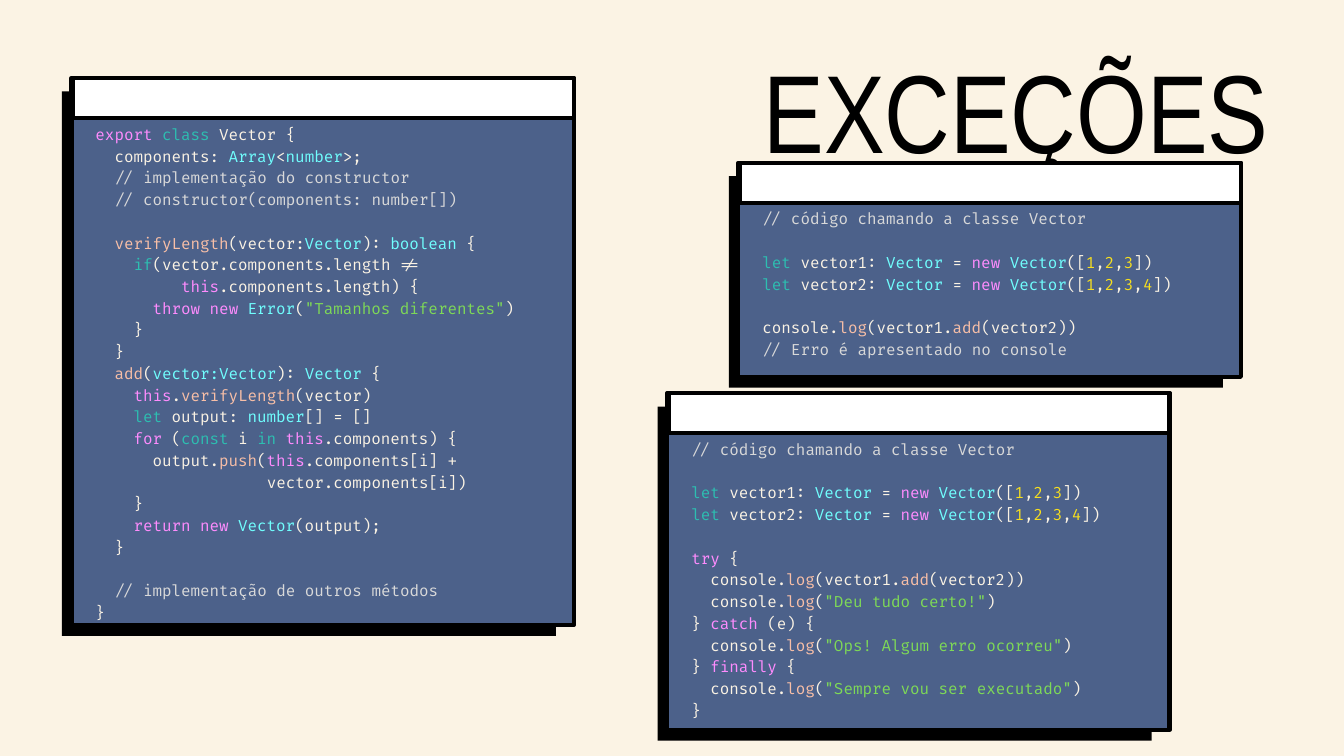
from dataclasses import dataclass
from functools import partial
from typing import NamedTuple

from pptx import Presentation
from pptx.dml.color import RGBColor
from pptx.enum.shapes import MSO_SHAPE
from pptx.enum.text import MSO_AUTO_SIZE, PP_ALIGN
from pptx.slide import Slide
from pptx.text.text import TextFrame
from pptx.util import Cm, Pt

COLORS = {
    "background": "FBF3E4",
    "black": "000000",
    "panel": "4C618A",
    "header": "FFFFFF",
    "plain": "FBF3E4",
    "keyword": "FE8CFE",
    "declaration": "2DBEB1",
    "type": "70FEFE",
    "function": "F8BFA7",
    "string": "7ED957",
    "number": "F7DF1E",
    "comment": "D9D9D9",
}
LINE_SPACING = 23.3
LINE_HEIGHT = 0.82


class Span(NamedTuple):
    role: str
    text: str


@dataclass
class CodePanel:
    left: float
    top: float
    height: float
    lines: list[list[Span]]


plain = partial(Span, "plain")
keyword = partial(Span, "keyword")
declaration = partial(Span, "declaration")
type_name = partial(Span, "type")
function = partial(Span, "function")
string = partial(Span, "string")
number = partial(Span, "number")
comment = partial(Span, "comment")


def vector_line(name: str, count: int) -> list[Span]:
    """Return a line that declares a vector holding 1 to count."""
    values = [number("1")]
    for value in range(2, count + 1):
        values += [plain(","), number(str(value))]
    return [declaration("let "), plain(f"{name}: "), type_name("Vector "), plain("= "),
            keyword("new "), type_name("Vector"), plain("(["), *values, plain("])")]


def log_line(indent: str, *arguments: Span) -> list[Span]:
    """Return a line that logs the given arguments."""
    return [plain(f"{indent}console."), function("log"), *arguments]


def log_string(message: str) -> list[Span]:
    """Return an indented line that logs a string."""
    return log_line("  ", plain("("), string(f'"{message}"'), plain(")"))


SUM_ARGUMENTS = [plain("(vector1."), function("add"), plain("(vector2))")]
CALLER_LINES = [
    [comment("// código chamando a classe Vector")],
    [],
    vector_line("vector1", 3),
    vector_line("vector2", 4),
    [],
]
CLASS_LINES = [
    [keyword("export "), declaration("class "), plain("Vector {")],
    [plain("  components: "), type_name("Array"), plain("<"), type_name("number"), plain(">;")],
    [comment("  // implementação do constructor")],
    [comment("  // constructor(components: number[])")],
    [],
    [function("  verifyLength"), plain("(vector:"), type_name("Vector"), plain("): "),
     type_name("boolean "), plain("{")],
    [declaration("    if"), plain("(vector.components.length !=")],
    [keyword("         this"), plain(".components.length) {")],
    [keyword("      throw new "), type_name("Error"), plain("("),
     string('"Tamanhos diferentes"'), plain(")")],
    [plain("    }")],
    [plain("  }")],
    [function("  add"), plain("("), type_name("vector:Vector"), plain("): "),
     type_name("Vector "), plain("{")],
    [keyword("    this"), plain("."), function("verifyLength"), plain("(vector)")],
    [declaration("    let "), plain("output: "), type_name("number"), plain("[] = []")],
    [keyword("    for "), plain("("), declaration("const "), plain("i "),
     declaration("in "), keyword("this"), plain(".components) {")],
    [plain("      output."), function("push"), plain("("), keyword("this"),
     plain(".components[i] +")],
    [plain("                  vector.components[i])")],
    [plain("    }")],
    [keyword("    return new "), type_name("Vector"), plain("(output);")],
    [plain("  }")],
    [],
    [comment("  // implementação de outros métodos")],
    [plain("}")],
]
UNHANDLED_LINES = [
    *CALLER_LINES,
    log_line("", *SUM_ARGUMENTS),
    [comment("// Erro é apresentado no console")],
]
HANDLED_LINES = [
    *CALLER_LINES,
    [keyword("try "), plain("{")],
    log_line("  ", *SUM_ARGUMENTS),
    log_string("Deu tudo certo!"),
    [plain("} "), keyword("catch "), plain("(e) {")],
    log_string("Ops! Algum erro ocorreu"),
    [plain("} "), keyword("finally "), plain("{")],
    log_string("Sempre vou ser executado"),
    [plain("}")],
]
PANELS = [
    CodePanel(2.7, 2.95, 20.68, CLASS_LINES),
    CodePanel(27.91, 6.15, 8.1, UNHANDLED_LINES),
    CodePanel(25.22, 14.86, 12.73, HANDLED_LINES),
]


def rgb(name: str) -> RGBColor:
    """Return the named colour."""
    return RGBColor.from_string(COLORS[name])


def add_rectangle(slide: Slide, left: float, top: float, width: float, height: float,
                  fill: str, outlined: bool = True) -> None:
    """Draw a filled rectangle with an optional black outline."""
    shape = slide.shapes.add_shape(MSO_SHAPE.RECTANGLE, Cm(left), Cm(top), Cm(width), Cm(height))
    shape.shadow.inherit = False
    shape.fill.solid()
    shape.fill.fore_color.rgb = rgb(fill)
    if outlined:
        shape.line.color.rgb = rgb("black")
        shape.line.width = Pt(4.5)
    else:
        shape.line.fill.background()


def add_text_frame(slide: Slide, left: float, top: float, width: float, height: float) -> TextFrame:
    """Add a wrapping text box without margins."""
    shape = slide.shapes.add_textbox(Cm(left), Cm(top), Cm(width), Cm(height))
    text_frame = shape.text_frame
    text_frame.word_wrap = True
    text_frame.auto_size = MSO_AUTO_SIZE.SHAPE_TO_FIT_TEXT
    text_frame.margin_left = text_frame.margin_right = 0
    text_frame.margin_top = text_frame.margin_bottom = 0
    return text_frame


def add_title(slide: Slide) -> None:
    """Write the slide title."""
    text_frame = add_text_frame(slide, 26.8, 2.44, 21.16, 4.45)
    text_frame.text = "EXCEÇÕES"
    paragraph = text_frame.paragraphs[0]
    paragraph.alignment = PP_ALIGN.RIGHT
    paragraph.line_spacing = Pt(118.8)
    font = paragraph.runs[0].font
    font.name, font.size = "Arial Narrow", Pt(118.8)
    font.color.rgb = rgb("black")


def add_code_panel(slide: Slide, panel: CodePanel) -> None:
    """Draw a code window and its highlighted lines."""
    left, top, height = panel.left, panel.top, panel.height
    add_rectangle(slide, left - 0.36, top + 0.51, 18.67, height - 0.1, "black", outlined=False)
    add_rectangle(slide, left, top, 18.99, height, "panel")
    add_rectangle(slide, left + 0.05, top, 18.94, 1.52, "header")
    text_frame = add_text_frame(slide, left + 0.91, top + 1.65, 17.7, len(panel.lines) * LINE_HEIGHT)
    text_frame.text = "\n" * (len(panel.lines) - 1)
    for paragraph, spans in zip(text_frame.paragraphs, panel.lines):
        paragraph.line_spacing = Pt(LINE_SPACING)
        for span in spans:
            run = paragraph.add_run()
            run.text = span.text
            run.font.name, run.font.size = "Fira Code", Pt(16.6)
            run.font.color.rgb = rgb(span.role)


def main() -> None:
    """Build and save the slide."""
    presentation = Presentation()
    presentation.slide_width, presentation.slide_height = Cm(50.8), Cm(28.58)
    slide = presentation.slides.add_slide(presentation.slide_layouts[6])
    slide.background.fill.solid()
    slide.background.fill.fore_color.rgb = rgb("background")
    add_title(slide)
    for panel in PANELS:
        add_code_panel(slide, panel)
    presentation.save("out.pptx")


if __name__ == "__main__":
    main()
